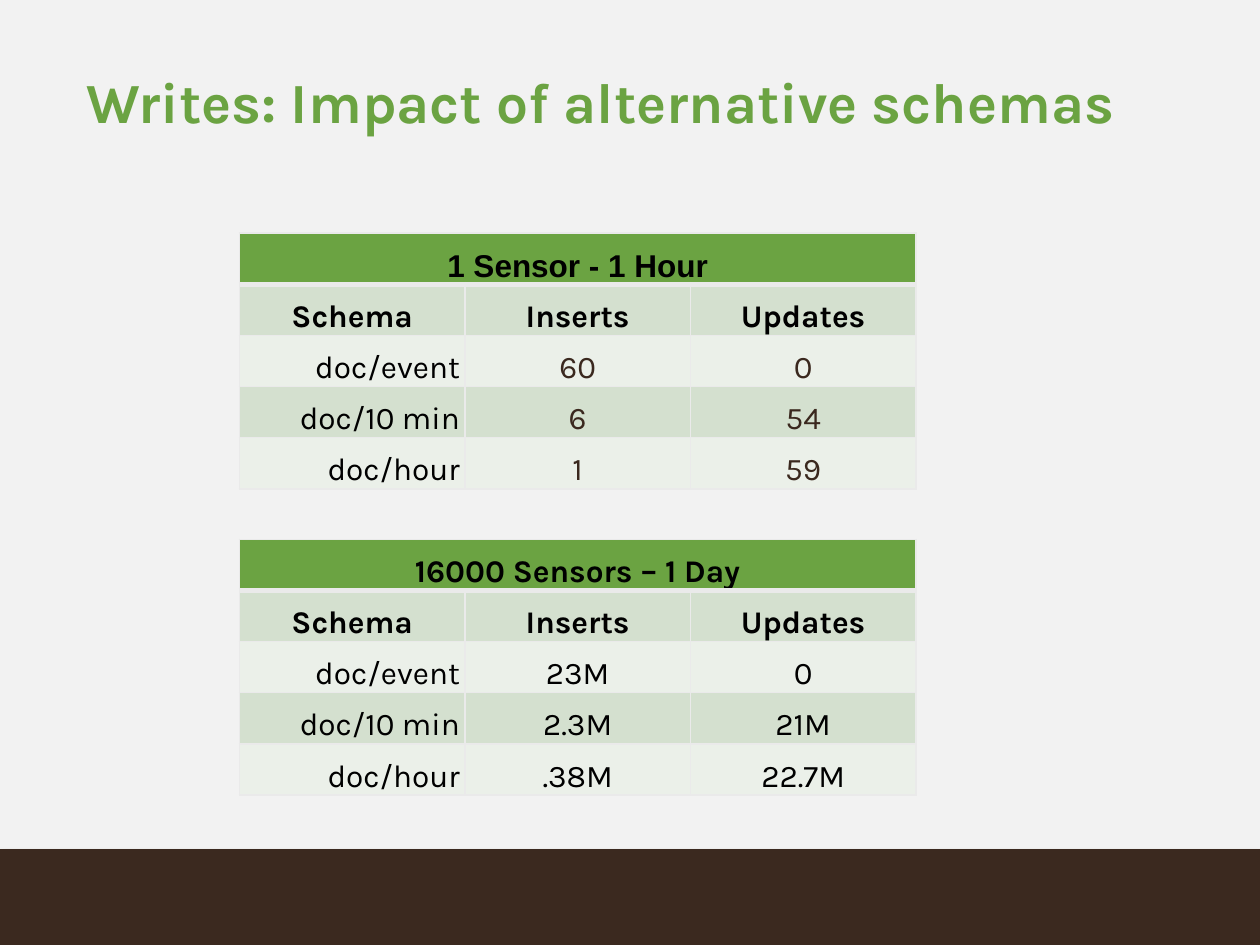
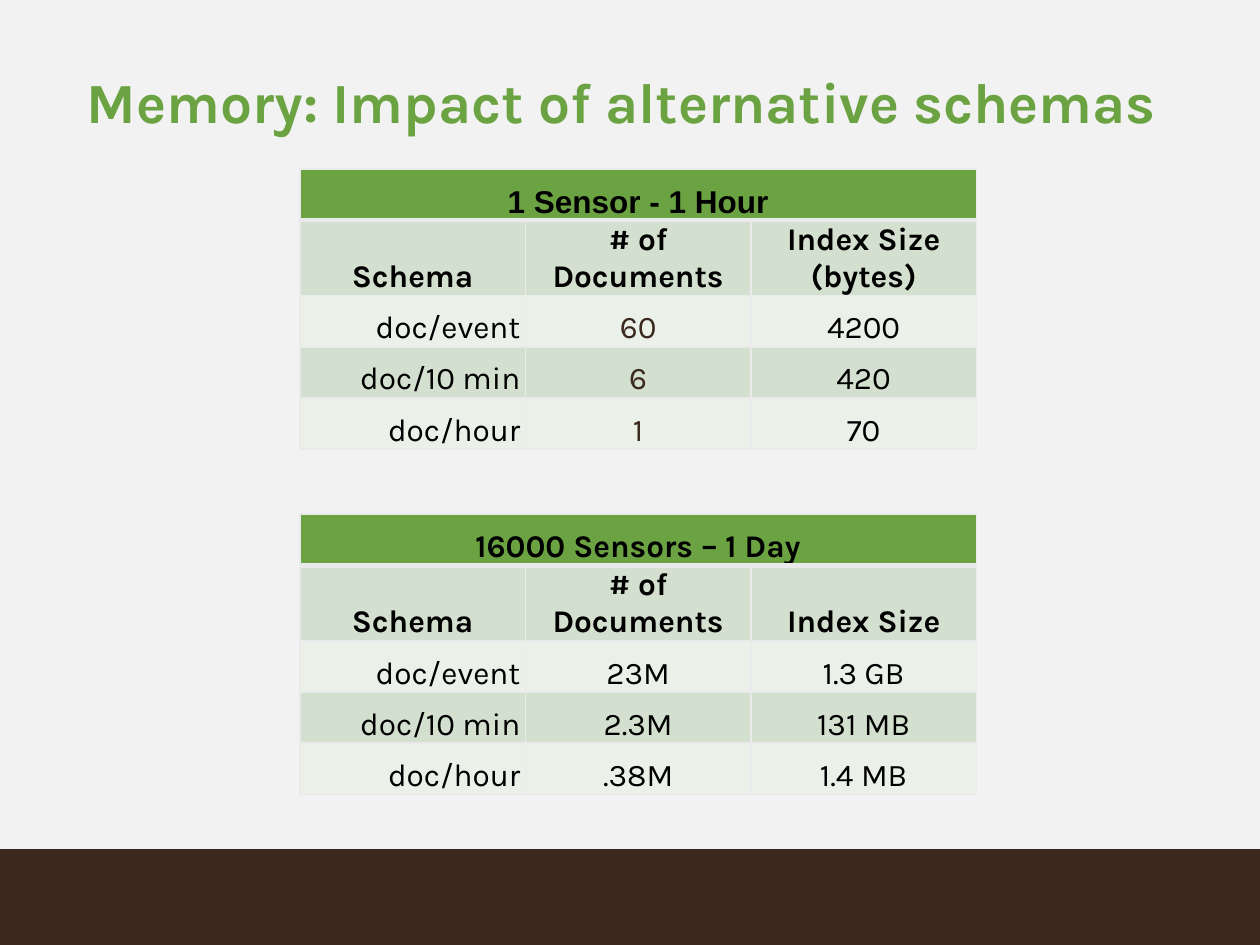
import lxml.etree
import pptx
import pptx.dml.color
import pptx.enum.shapes
import pptx.enum.text
import pptx.oxml.ns
import pptx.util

Inches = pptx.util.Inches
Align = pptx.enum.text.PP_ALIGN
Anchor = pptx.enum.text.MSO_ANCHOR
qn = pptx.oxml.ns.qn

GREEN, BROWN, INK = "6BA342", "3A281E", "000000"
BACKGROUND, BAND, BORDER = "F2F2F2", "3B291F", "EAEAEA"
STRIPES = ("D4E0CF", "EBF0E9")
FONT = "Karla"
COLUMN_WIDTH, ROW_HEIGHT = 1.79, 0.406
SCHEMAS = ("doc/event", "doc/10 min", "doc/hour")
HOUR_TITLE, DAY_TITLE = "1 Sensor - 1 Hour", "16000 Sensors – 1 Day"


def paint(target, color):
    """Give a fill one solid colour."""
    target.solid()
    target.fore_color.rgb = pptx.dml.color.RGBColor.from_string(color)


def set_values(target, values):
    """Set attributes from a dict of format values."""
    for name, value in values.items():
        setattr(target, name, value)


def write(paragraph, text, size, color, bold=False, font=FONT):
    """Put one formatted span into a paragraph."""
    span = paragraph.add_run()
    span.text = text
    set_values(span.font, {"name": font, "size": pptx.util.Pt(size), "bold": bold})
    paint(span.font.fill, color)


def add_shadow(shape):
    """Cast a soft shadow straight down from a shape."""
    shape.shadow.inherit = False
    effects = shape.element.spPr.find(qn("a:effectLst"))
    shadow = lxml.etree.SubElement(effects, qn("a:outerShdw"), blurRad="40000",
                                   dist="23000", dir="5400000", rotWithShape="0")
    color = lxml.etree.SubElement(shadow, qn("a:srgbClr"), val=INK)
    lxml.etree.SubElement(color, qn("a:alpha"), val="35000")


def add_page(deck, title):
    """Add a page with the shared background, bottom band and title."""
    page = deck.slides.add_slide(deck.slide_layouts[6])
    paint(page.background.fill, BACKGROUND)
    band = page.shapes.add_shape(pptx.enum.shapes.MSO_SHAPE.RECTANGLE, Inches(0),
                                 Inches(6.74), Inches(10), Inches(0.76))
    paint(band.fill, BAND)
    band.line.fill.background()
    add_shadow(band)
    box = page.shapes.add_textbox(Inches(0.69), Inches(0.37), Inches(8.64), Inches(0.93))
    set_values(box.text_frame, {
        "word_wrap": True, "vertical_anchor": Anchor.MIDDLE,
        "margin_left": 0, "margin_right": 0, "margin_top": 0, "margin_bottom": 0})
    paragraph = box.text_frame.paragraphs[0]
    paragraph.line_spacing = 0.9
    write(paragraph, title, 32.4, GREEN, True)
    return page


def style_cell(cell, fill, row):
    """Set margins, borders and fill, with a thick rule under the table title."""
    set_values(cell, {
        "margin_left": Inches(0.04), "margin_right": Inches(0.04),
        "margin_top": 0, "margin_bottom": 0, "vertical_anchor": Anchor.BOTTOM})
    thick_side = {0: "B", 1: "T"}.get(row)
    properties = cell._tc.get_or_add_tcPr()
    for side in "LRTB":
        width = pptx.util.Pt(3 if side == thick_side else 1)
        line = lxml.etree.SubElement(properties, qn(f"a:ln{side}"), w=str(width))
        solid = lxml.etree.SubElement(line, qn("a:solidFill"))
        lxml.etree.SubElement(solid, qn("a:srgbClr"), val=BORDER)
    paint(cell.fill, fill)


def add_schema_table(page, left, top, title, headings, values, title_font=FONT,
                     brown_columns=()):
    """Add a titled table that compares the three schemas."""
    rows = [(title, "", ""), ("Schema", *headings)]
    rows += [(schema, *pair) for schema, pair in zip(SCHEMAS, values)]
    table = page.shapes.add_table(len(rows), 3, Inches(left), Inches(top),
                                  Inches(3 * COLUMN_WIDTH),
                                  Inches(len(rows) * ROW_HEIGHT)).table
    set_values(table, {"first_row": False, "horz_banding": False})
    table.cell(0, 0).merge(table.cell(0, 2))
    for row, texts in enumerate(rows):
        fill = STRIPES[(row - 1) % 2] if row else GREEN
        is_body = row > 1
        for column, text in enumerate(texts):
            cell = table.cell(row, column)
            style_cell(cell, fill, row)
            if not text:
                continue
            paragraph = cell.text_frame.paragraphs[0]
            paragraph.alignment = Align.RIGHT if is_body and column == 0 else Align.CENTER
            color = BROWN if is_body and column in brown_columns else INK
            write(paragraph, text, 18, color, not is_body, FONT if row else title_font)


def main():
    """Build the two pages and save the deck."""
    deck = pptx.Presentation()
    set_values(deck, {"slide_width": Inches(10), "slide_height": Inches(7.5)})

    writes = add_page(deck, "Writes: Impact of alternative schemas")
    headings = ("Inserts", "Updates")
    add_schema_table(writes, 1.9, 1.85, HOUR_TITLE, headings,
                     [("60", "0"), ("6", "54"), ("1", "59")], "Arial", (1, 2))
    add_schema_table(writes, 1.9, 4.28, DAY_TITLE, headings,
                     [("23M", "0"), ("2.3M", "21M"), (".38M", "22.7M")])

    memory = add_page(deck, "Memory: Impact of alternative schemas")
    add_schema_table(memory, 2.38, 1.34, HOUR_TITLE, ("# of Documents", "Index Size (bytes)"),
                     [("60", "4200"), ("6", "420"), ("1", "70")], "Arial", (1,))
    add_schema_table(memory, 2.38, 4.08, DAY_TITLE, ("# of Documents", "Index Size"),
                     [("23M", "1.3 GB"), ("2.3M", "131 MB"), (".38M", "1.4 MB")])

    deck.save("out.pptx")


if __name__ == "__main__":
    main()
